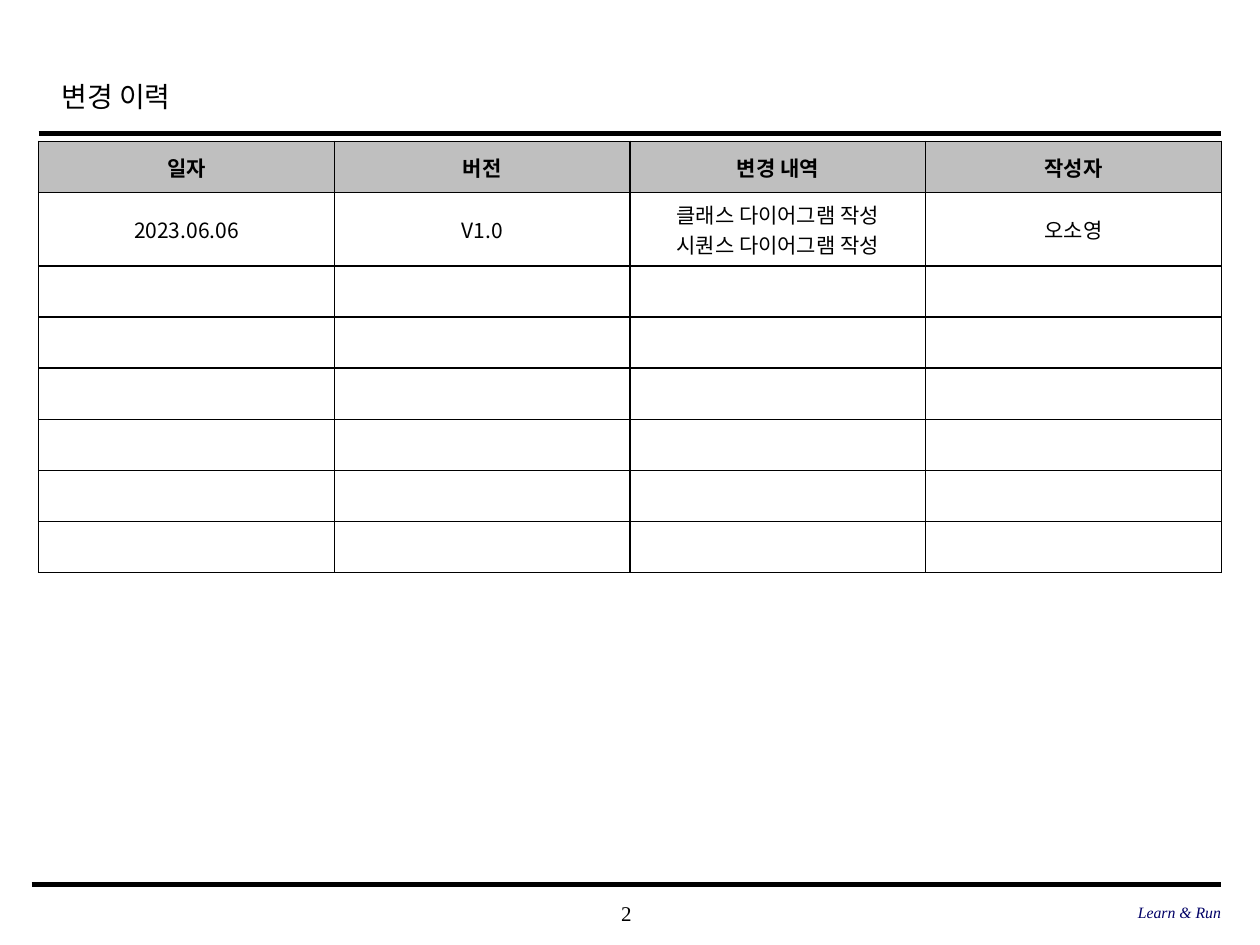
from lxml import etree
from pptx import Presentation
from pptx.dml.color import RGBColor
from pptx.enum.shapes import MSO_CONNECTOR
from pptx.enum.text import MSO_ANCHOR, PP_ALIGN
from pptx.oxml.ns import qn
from pptx.util import Pt

STRAIGHT = MSO_CONNECTOR.STRAIGHT
MIDDLE = MSO_ANCHOR.MIDDLE
LEFT, CENTER, RIGHT = PP_ALIGN.LEFT, PP_ALIGN.CENTER, PP_ALIGN.RIGHT

SERIF, SANS = "Times New Roman", "Noto Sans CJK KR"
BLACK, NAVY, GREY, WHITE = "000000", "000066", "BFBFBF", "FFFFFF"

HEADERS = ["일자", "버전", "변경 내역", "작성자"]
HISTORY = [["2023.06.06", "V1.0", "클래스 다이어그램 작성\n시퀀스 다이어그램 작성", "오소영"]]
EMPTY_ROWS = 6


def color(hex_value):
    return RGBColor.from_string(hex_value)


def set_text(tf, text, align, hex_color=BLACK, **font):
    """Fill a text frame, one paragraph a line, with Korean glyphs in SANS."""
    tf.text = text
    tf.vertical_anchor = MIDDLE
    for p in tf.paragraphs:
        p.alignment = align
        for r in p.runs:
            for name, value in font.items():
                setattr(r.font, name, value)
            r.font.color.rgb = color(hex_color)
            etree.SubElement(r.font._element, qn("a:ea"), typeface=SANS)


def add_rule(s, left, right, y, width):
    line = s.shapes.add_connector(STRAIGHT, Pt(left), Pt(y), Pt(right), Pt(y))
    line.line.color.rgb = color(BLACK)
    line.line.width = Pt(width)
    etree.SubElement(line._element.spPr, qn("a:effectLst"))


def add_label(s, box, text, align, **font):
    sp = s.shapes.add_textbox(*map(Pt, box))
    tf = sp.text_frame
    tf.word_wrap = True
    for side in ("left", "top", "right", "bottom"):
        setattr(tf, f"margin_{side}", 0)
    set_text(tf, text, align, **font)


def add_header(s, box):
    title = s.shapes.title
    for name, value in zip(("left", "top", "width", "height"), box):
        setattr(title, name, Pt(value))
    set_text(title.text_frame, "변경 이력", LEFT, name=SERIF, size=Pt(16))
    title.text_frame.paragraphs[0].line_spacing = 1.2
    add_rule(s, 22.1, 697.7, 76.3, 2.5)


def add_footer(s, left, right, y):
    add_rule(s, left, right, y, 3)
    add_label(s, (283, y + 4.3, 150, 23.8), "2", CENTER, name=SERIF, size=Pt(12))
    add_label(s, (right - 220, y + 3.6, 220, 23.8), "Learn & Run", RIGHT,
              hex_color=NAVY, name=SERIF, size=Pt(9), italic=True)


def add_borders(cell):
    tc_pr = cell._tc.get_or_add_tcPr()
    for side in ("lnL", "lnR", "lnT", "lnB"):
        ln = etree.SubElement(tc_pr, qn(f"a:{side}"), w=str(Pt(1)))
        fill = etree.SubElement(ln, qn("a:solidFill"))
        etree.SubElement(fill, qn("a:srgbClr"), val=BLACK)


def add_history_table(s, left, top, width, row_height):
    blank = [[""] * len(HEADERS)] * EMPTY_ROWS
    rows = [HEADERS] + HISTORY + blank
    table = s.shapes.add_table(len(rows), len(HEADERS), Pt(left), Pt(top),
                               Pt(width), Pt(row_height * len(rows))).table
    for i, values in enumerate(rows):
        table.rows[i].height = Pt(row_height)
        for j, text in enumerate(values):
            cell = table.cell(i, j)
            add_borders(cell)
            cell.fill.solid()
            cell.fill.fore_color.rgb = color(WHITE if i else GREY)
            cell.vertical_anchor = MIDDLE
            if text:
                set_text(cell.text_frame, text, CENTER, name=SANS,
                         size=Pt(12), bold=i == 0)


def main():
    prs = Presentation()
    prs.slide_width, prs.slide_height = Pt(720), Pt(540)
    s = prs.slides.add_slide(prs.slide_layouts[5])
    add_header(s, (28, 35, 543.6, 36))
    add_history_table(s, 22.1, 80.8, 675.8, 29.2)
    add_footer(s, 18, 697.7, 505.5)
    prs.save("out.pptx")


if __name__ == "__main__":
    main()
